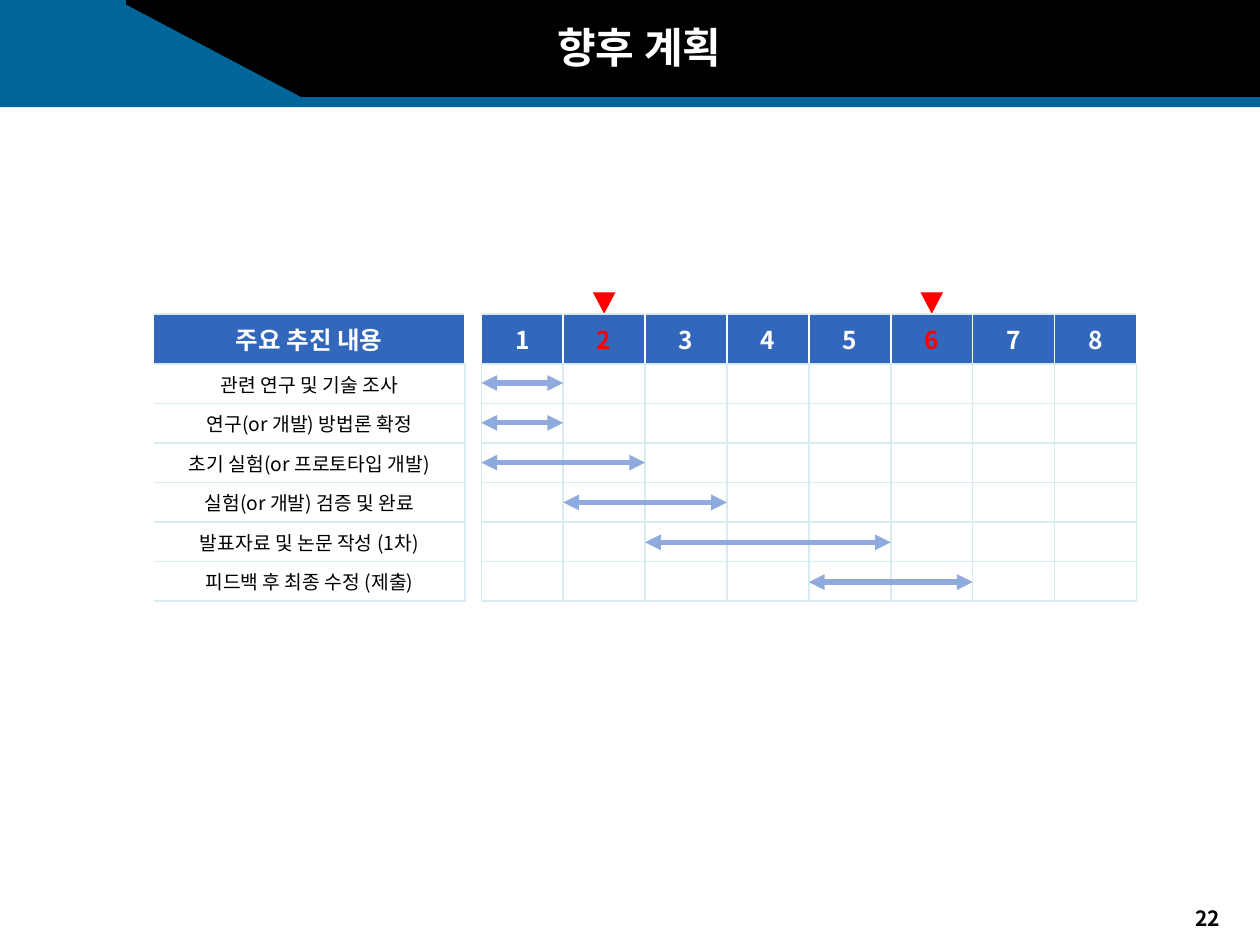
from lxml.etree import SubElement
from pptx import Presentation
from pptx.dml.color import RGBColor
from pptx.enum.shapes import MSO_CONNECTOR, MSO_SHAPE
from pptx.enum.text import MSO_ANCHOR, PP_ALIGN
from pptx.oxml.ns import qn
from pptx.util import Inches, Pt

FONT = "Noto Sans CJK KR"
COLORS = {"black": "000000", "blue": "006699", "header": "3367BB", "grid": "D6ECEE",
          "white": "FFFFFF", "red": "FF0000", "arrow": "8FAADC"}
TASKS = [("관련 연구 및 기술 조사", 0, 1), ("연구(or 개발) 방법론 확정", 0, 1),
         ("초기 실험(or 프로토타입 개발)", 0, 2), ("실험(or 개발) 검증 및 완료", 1, 3),
         ("발표자료 및 논문 작성 (1차)", 2, 5), ("피드백 후 최종 수정 (제출)", 4, 6)]
MILESTONES = [2, 6]
GRID_LEFT, GRID_TOP, MONTH_W = 3.82, 2.49, 0.65
HEADER_H, ROW_H = 0.4, 0.313


def write(tf, text, size, color, bold):
    p = tf.paragraphs[0]
    p.alignment = PP_ALIGN.CENTER
    if not text:
        SubElement(p._p, qn("a:endParaRPr"), sz=str(size * 100))
        return
    r = p.add_run()
    r.text = text
    for name, value in {"name": FONT, "size": Pt(size), "bold": bold}.items():
        setattr(r.font, name, value)
    r.font.color.rgb = RGBColor.from_string(COLORS[color])
    SubElement(r._r.get_or_add_rPr(), qn("a:ea"), typeface=FONT)


def style_cell(cell, text, size, color, bold, fill, borders):
    for name in ("margin_top", "margin_bottom"):
        setattr(cell, name, Inches(0.02))
    cell.vertical_anchor = MSO_ANCHOR.MIDDLE
    write(cell.text_frame, text, size, color, bold)
    tcPr = cell._tc.get_or_add_tcPr()
    for side, border in zip("LRTB", borders):
        ln = SubElement(tcPr, qn(f"a:ln{side}"), w="12700")
        if border:
            SubElement(SubElement(ln, qn("a:solidFill")), qn("a:srgbClr"), val=COLORS[border])
        else:
            SubElement(ln, qn("a:noFill"))
    if fill:
        cell.fill.solid()
        cell.fill.fore_color.rgb = RGBColor.from_string(COLORS[fill])
    else:
        cell.fill.background()


prs = Presentation()
prs.slide_width, prs.slide_height = Inches(10), Inches(7.5)
s = prs.slides.add_slide(prs.slide_layouts[5])

shapes = [
    (MSO_SHAPE.RECTANGLE, 0.93, 0, 9.07, 0.84, "black"),
    (MSO_SHAPE.RIGHT_TRIANGLE, 0.93, 0, 1.59, 0.84, "blue"),
    (MSO_SHAPE.RECTANGLE, 0, 0, 1, 0.84, "blue"),
    (MSO_SHAPE.RECTANGLE, 0, 0.77, 10, 0.08, "blue"),
]
for month in MILESTONES:
    center = GRID_LEFT + MONTH_W * (month - 0.5)
    shapes.append((MSO_SHAPE.FLOWCHART_MERGE, center - 0.09, 2.32, 0.18, 0.17, "red"))
for kind, x, y, w, h, color in shapes:
    sp = s.shapes.add_shape(kind, Inches(x), Inches(y), Inches(w), Inches(h))
    sp.shadow.inherit = False
    sp.fill.solid()
    sp.fill.fore_color.rgb = RGBColor.from_string(COLORS[color])
    sp.line.fill.background()

title = s.shapes.title
s.shapes._spTree.append(title._element)
box = {"left": 2.32, "top": 0.12, "width": 5.51, "height": 0.5}
for name, value in box.items():
    setattr(title, name, Inches(value))
title.text_frame.vertical_anchor = MSO_ANCHOR.MIDDLE
write(title.text_frame, "향후 계획", 24, "white", True)

number = s.shapes.add_textbox(Inches(9.31), Inches(7.14), Inches(0.55), Inches(0.3))
number.text_frame.word_wrap = True
write(number.text_frame, "22", 12, "black", True)

months = [str(m) for m in range(1, 9)]
schedule = [months] + [[""] * len(months) for _ in TASKS]
labels = [["주요 추진 내용"]] + [[name] for name, _, _ in TASKS]
for rows, left, col_w, edge in ((schedule, GRID_LEFT, MONTH_W, "grid"), (labels, 1.22, 2.47, None)):
    n_cols = len(rows[0])
    table = s.shapes.add_table(len(rows), n_cols, Inches(left), Inches(GRID_TOP),
                               Inches(col_w * n_cols), Inches(HEADER_H + ROW_H * len(TASKS))).table
    table.first_row = table.horz_banding = False
    for col in table.columns:
        col.width = Inches(col_w)
    for i, row in enumerate(rows):
        table.rows[i].height = Inches(ROW_H if i else HEADER_H)
        for j, text in enumerate(row):
            cell = table.cell(i, j)
            if i:
                style_cell(cell, text, 11, "black", False, None, (edge, "grid", "grid", "grid"))
            else:
                color = "red" if text in map(str, MILESTONES) else "white"
                style_cell(cell, text, 14, color, True, "header",
                           (edge and "white", "white", "grid", "grid"))

for i, (_, start, end) in enumerate(TASKS):
    y = Inches(3.04 + 0.316 * i)
    arrow = s.shapes.add_connector(MSO_CONNECTOR.STRAIGHT, Inches(GRID_LEFT + MONTH_W * start), y,
                                   Inches(GRID_LEFT + MONTH_W * end), y)
    arrow.line.color.rgb = RGBColor.from_string(COLORS["arrow"])
    arrow.line.width = Pt(3)
    ln = arrow.line._get_or_add_ln()
    for end_tag in ("a:headEnd", "a:tailEnd"):
        SubElement(ln, qn(end_tag), type="triangle")
    SubElement(arrow._element.spPr, qn("a:effectLst"))

prs.save("out.pptx")
